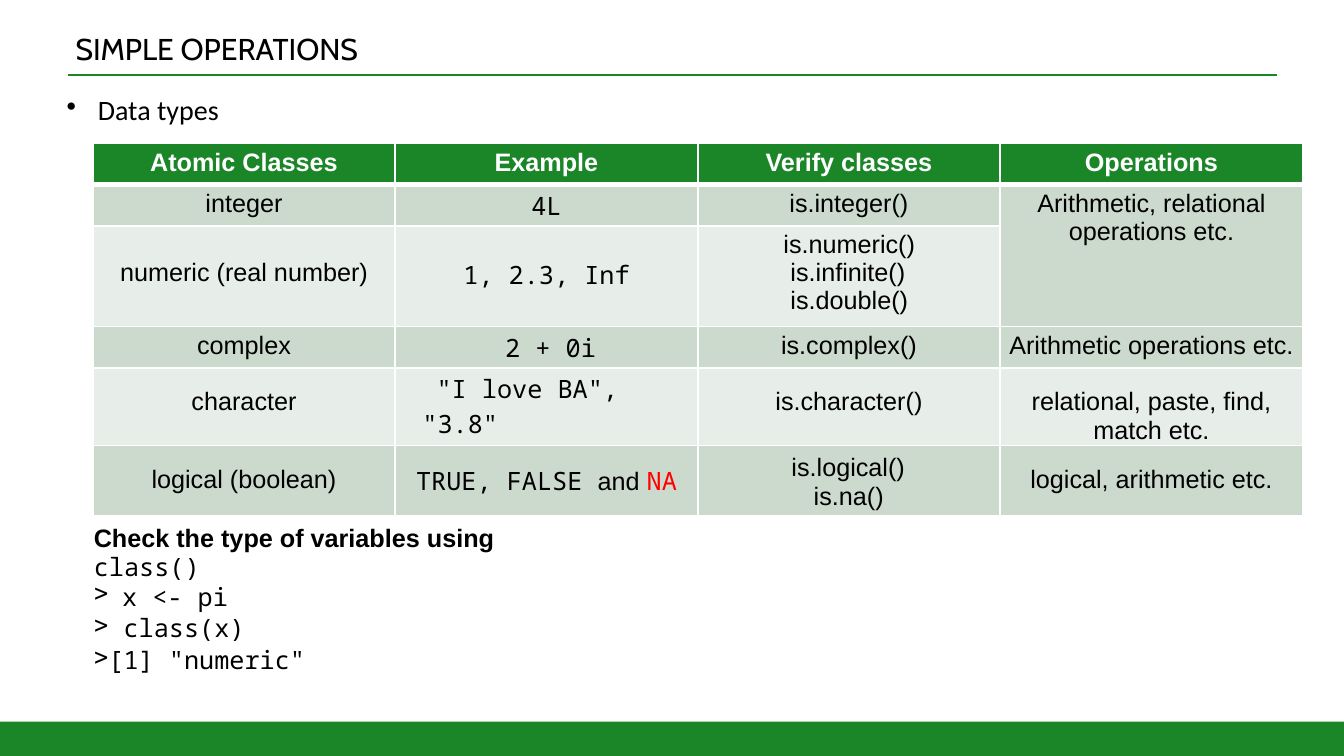
from dataclasses import dataclass, field

from lxml import etree
from pptx import Presentation
from pptx.dml.color import RGBColor
from pptx.enum import shapes, text
from pptx.oxml.ns import qn
from pptx.util import Inches, Pt


def shade(code):
    return RGBColor.from_string(code)


@dataclass
class Theme:
    green: str = "1A8628"
    white: str = "FFFFFF"
    bands: tuple = ("CCD9CD", "E7EDE8")
    fonts: dict = field(default_factory=lambda: {
        "title": ("Cabin", 21.5, "000000", False),
        "body": ("Calibri", 20, "000000", False),
        "head": ("Arial", 18, "FFFFFF", True),
        "bold": ("Arial", 18, "000000", True),
        "cell": ("Arial", 18, "000000", False),
        "code": ("Noto Sans Mono", 18, "000000", False),
        "alert": ("Noto Sans Mono", 18, "FF0000", False),
    })


class Deck:
    def __init__(self, theme):
        self.theme = theme
        self.file = Presentation()
        self.file.slide_width = Inches(13.33)
        self.file.slide_height = Inches(7.5)
        self.slide = self.file.slides.add_slide(self.file.slide_layouts[5])

    def bar(self, *box):
        shape = self.slide.shapes.add_shape(
            shapes.MSO_SHAPE.RECTANGLE, *map(Inches, box))
        shape.shadow.inherit = False
        shape.fill.solid()
        shape.fill.fore_color.rgb = shade(self.theme.green)
        shape.line.fill.background()

    def rule(self, left, right, top):
        line = self.slide.shapes.add_connector(
            shapes.MSO_CONNECTOR.STRAIGHT, *map(Inches, (left, top, right, top)))
        line.line.color.rgb = shade(self.theme.green)
        line.line.width = Pt(1.5)
        etree.SubElement(line._element.spPr, qn("a:effectLst"))

    def para(self, item, runs, style, form=None, bullet=None, indent=(0, 0), tab=None):
        props = item._p.get_or_add_pPr()
        for name, size in zip(("marL", "indent"), indent):
            props.set(name, str(Inches(size)))
        if bullet:
            etree.SubElement(props, qn("a:buChar"), char=bullet)
        else:
            etree.SubElement(props, qn("a:buNone"))
        if tab:
            tabs = etree.SubElement(props, qn("a:tabLst"))
            etree.SubElement(tabs, qn("a:tab"), pos=str(Inches(tab)), algn="l")
        for name, value in (form or {}).items():
            setattr(item, name, value)
        for words, kind in [(runs, style)] if isinstance(runs, str) else runs:
            run = item.add_run()
            run.text = words
            face, size, color, bold = self.theme.fonts[kind]
            for name, value in {"name": face, "size": Pt(size), "bold": bold}.items():
                setattr(run.font, name, value)
            run.font.color.rgb = shade(color)

    def frame(self, shape, top=0):
        frame = shape.text_frame
        form = {"margin_left": 0, "margin_right": 0, "margin_bottom": 0,
                "margin_top": Inches(top), "word_wrap": True,
                "auto_size": text.MSO_AUTO_SIZE.NONE,
                "vertical_anchor": text.MSO_ANCHOR.TOP}
        for name, value in form.items():
            setattr(frame, name, value)
        return frame

    def title(self, words, *box):
        shape = self.slide.shapes.title
        for name, size in zip(("left", "top", "width", "height"), box):
            setattr(shape, name, Inches(size))
        self.para(self.frame(shape).paragraphs[0], words, "title",
                  {"alignment": text.PP_ALIGN.LEFT})

    def box(self, place, paras, top=0):
        shape = self.slide.shapes.add_textbox(*map(Inches, place))
        frame = self.frame(shape, top)
        for index, para in enumerate(paras):
            item = frame.add_paragraph() if index else frame.paragraphs[0]
            self.para(item, **para)

    def edges(self, cell, row):
        props = cell._tc.get_or_add_tcPr()
        for side in "LRTB":
            thick = (row, side) in ((0, "B"), (1, "T"))
            line = etree.SubElement(props, qn("a:ln" + side),
                                    w=str(Pt(4.5 if thick else 1.5)))
            fill = etree.SubElement(line, qn("a:solidFill"))
            etree.SubElement(fill, qn("a:srgbClr"), val=self.theme.white)

    def table(self, place, heights, rows, tops, special):
        cols = len(rows[0])
        table = self.slide.shapes.add_table(
            len(rows), cols, *map(Inches, (*place, sum(heights)))).table
        for col in table.columns:
            col.width = Inches(place[2] / cols)
        for r, row in enumerate(rows):
            table.rows[r].height = Inches(heights[r])
            for c, words in enumerate(row):
                cell = table.cell(r, c)
                code = r > 0 and c == 1
                extra = special.get((r, c), {})
                form = {"margin_left": 0, "margin_bottom": 0,
                        "margin_right": Inches(extra.get("right", 0)),
                        "margin_top": Inches(extra.get("top", tops[r][code])),
                        "vertical_anchor": text.MSO_ANCHOR.TOP}
                for name, value in form.items():
                    setattr(cell, name, value)
                self.edges(cell, r)
                cell.fill.solid()
                tint = self.theme.bands[(r - 1) % 2] if r else self.theme.green
                cell.fill.fore_color.rgb = shade(tint)
                if words:
                    style = "code" if code else "cell" if r else "head"
                    side = text.PP_ALIGN.LEFT if extra else text.PP_ALIGN.CENTER
                    self.para(cell.text_frame.paragraphs[0], words, style,
                              {"alignment": side, "line_spacing": extra.get("lead")},
                              indent=extra.get("indent", (0, 0)))
        return table


def main():
    deck = Deck(Theme())
    deck.bar(0, 7.16, 13.33, 0.34)
    deck.rule(0.67, 12.67, 0.74)
    deck.title("SIMPLE OPERATIONS", 0.75, 0.3, 7.85, 0.36)
    deck.box((0.66, 0.92, 12.01, 0.4), [
        {"runs": "Data types", "style": "body", "bullet": "•", "indent": (0.31, -0.31)}])

    rows = [
        ("Atomic Classes", "Example", "Verify classes", "Operations"),
        ("integer", "4L", "is.integer()", "Arithmetic, relational operations etc."),
        ("numeric (real number)", "1, 2.3, Inf",
         "is.numeric() is.infinite() is.double()", ""),
        ("complex", "2 + 0i", "is.complex()", "Arithmetic operations etc."),
        ("character", '"I love BA", "3.8"', "is.character()",
         "relational, paste, find, match etc."),
        ("logical (boolean)",
         [("TRUE, FALSE ", "code"), ("and ", "cell"), ("NA", "alert")],
         "is.logical() is.na()", "logical, arithmetic etc."),
    ]
    tops = [(0.05, 0.05), (0.05, 0.04), (0.33, 0.32),
            (0.05, 0.04), (0.2, 0.03), (0.2, 0.18)]
    special = {
        (2, 2): {"top": 0.05, "indent": (0.92, -0.07), "lead": 0.99},
        (3, 1): {"indent": (1.09, 0)},
        (4, 1): {"indent": (0.27, 0.14), "lead": 1.02},
        (5, 2): {"top": 0.07, "indent": (1.15, -0.22), "lead": Pt(20.9), "right": 0.9},
    }
    table = deck.table((0.92, 1.42, 12), (0.41, 0.41, 1, 0.41, 0.77, 0.7),
                       rows, tops, special)
    table.cell(1, 3).merge(table.cell(2, 3))

    prompt = {"style": "code", "bullet": ">", "tab": 0.29}
    flush = {"indent": (0.01, 0)}
    tight = {"line_spacing": Pt(20.9), "space_before": Pt(1.8)}
    deck.box((0.92, 5.17, 4.22, 1.54), [
        {"runs": "Check the type of variables using", "style": "bold",
         "form": {"line_spacing": Pt(21.4)}, **flush},
        {"runs": "class()", "style": "code", "form": {"line_spacing": Pt(21)}, **flush},
        {"runs": "x <- pi", "form": {"line_spacing": Pt(21.2)},
         "indent": (0.29, -0.28), **prompt},
        {"runs": " class(x)", "form": tight, **flush, **prompt},
        {"runs": '[1] "numeric"', "form": tight, **flush, **prompt},
    ], top=0.01)
    deck.file.save("out.pptx")


if __name__ == "__main__":
    main()
